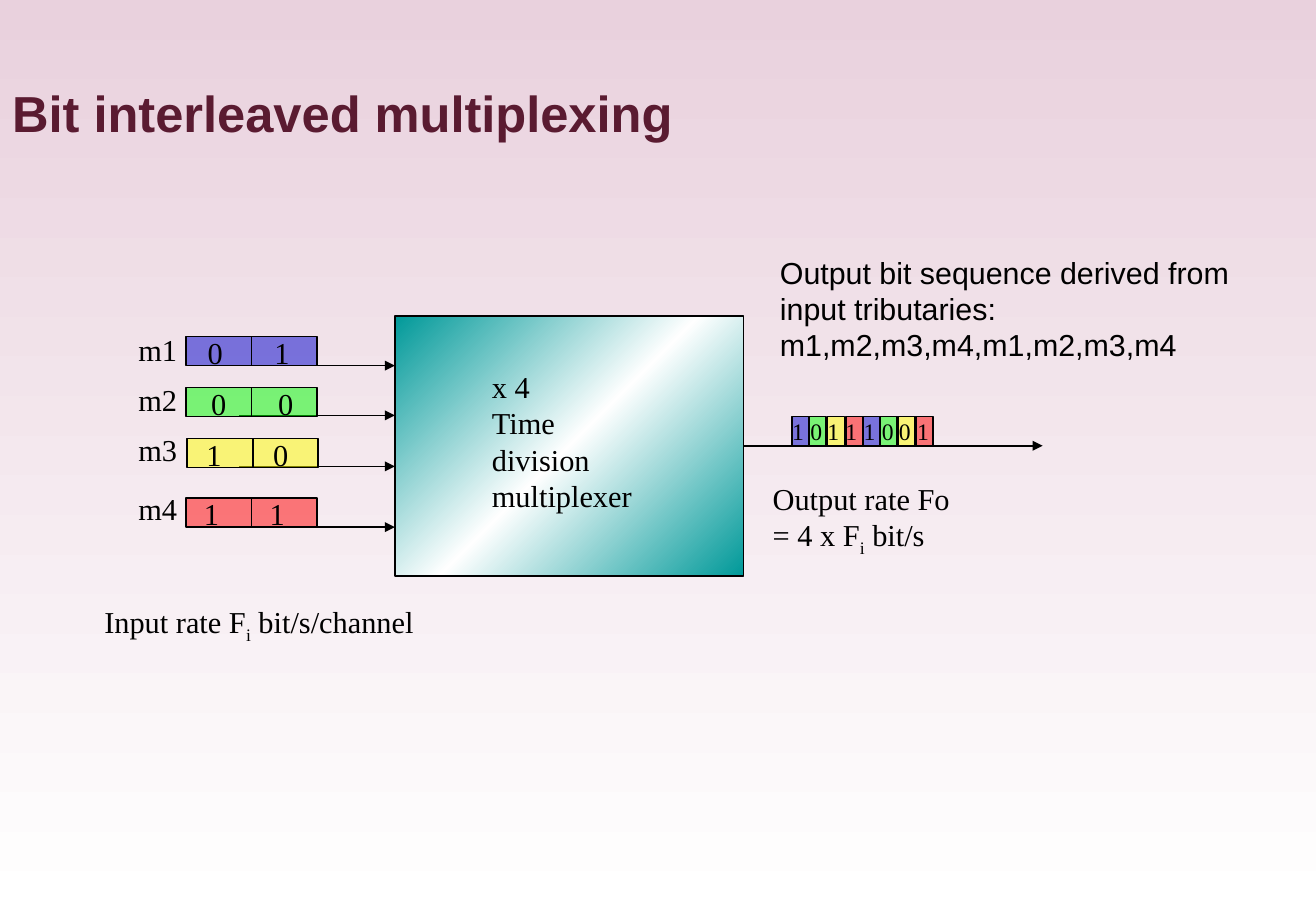
from lxml import etree
from pptx import Presentation
from pptx.dml.color import RGBColor
from pptx.enum.shapes import MSO_CONNECTOR, MSO_SHAPE
from pptx.enum.text import MSO_ANCHOR, MSO_AUTO_SIZE, PP_ALIGN
from pptx.oxml.ns import qn
from pptx.util import Pt

LINE = MSO_CONNECTOR.STRAIGHT
RECT = MSO_SHAPE.RECTANGLE
MIDDLE = MSO_ANCHOR.MIDDLE
GROW = MSO_AUTO_SIZE.SHAPE_TO_FIT_TEXT
LEFT = PP_ALIGN.LEFT

SCALE = 9144
SERIF = "Times New Roman"
SANS = "Arial"
BLACK = "000000"
TEAL = "009999"
WHITE = "FFFFFF"
COLORS = ["0000CC", "00FF00", "FFFF00", "FF0000"]

ROWS = [
    ("m1", 268, 153, 277, 301, [("0", 161), ("1", 216)]),
    ("m2", 309, 153, 319, 342, [("0", 164), ("0", 219)]),
    ("m3", 350, 154, 361, 384, [("1", 160), ("0", 215)]),
    ("m4", 399, 153, 410, 434, [("1", 158), ("1", 212)]),
]
OUTPUT = "10111001"


def px(*sizes):
    return [round(size * SCALE) for size in sizes]


def rgb(code):
    return RGBColor.from_string(code)


def style(item, values):
    for name, value in values.items():
        setattr(item, name, value)


def ink(font, face, size, color, bold=False):
    style(font, {"name": face, "size": Pt(size), "bold": bold})
    font.color.rgb = rgb(color)


def shade(fill, owner, stops, angle):
    fill.gradient()
    fill.gradient_angle = 360 - angle
    ramp = owner.element.find(".//" + qn("a:gsLst"))
    ramp.clear()
    for place, color in stops:
        stop = etree.SubElement(ramp, qn("a:gs"), pos=str(place * 1000))
        etree.SubElement(stop, qn("a:srgbClr"), val=color)


def edge(line):
    line.color.rgb = rgb(BLACK)
    line.width = Pt(1)


def box(slide, *area):
    shape = slide.shapes.add_shape(RECT, *px(*area))
    shape.shadow.inherit = False
    edge(shape.line)
    return shape


def cell(slide, color, *area):
    shape = box(slide, *area)
    shape.fill.solid()
    shape.fill.fore_color.rgb = rgb(color)
    tint = shape.element.spPr.find(qn("a:solidFill")).find(qn("a:srgbClr"))
    etree.SubElement(tint, qn("a:alpha"), val="50000")
    return shape


def wire(slide, *ends, arrow=False):
    link = slide.shapes.add_connector(LINE, *px(*ends))
    edge(link.line)
    props = link.element.spPr
    etree.SubElement(props, qn("a:effectLst"))
    if arrow:
        etree.SubElement(props.find(qn("a:ln")), qn("a:tailEnd"), type="triangle")
    return link


def label(slide, lines, *area, face=SERIF, size=18, wrap=False):
    frame = slide.shapes.add_textbox(*px(*area)).text_frame
    style(frame, {"word_wrap": wrap, "auto_size": GROW})
    for row, line in enumerate(lines):
        para = frame.add_paragraph() if row else frame.paragraphs[0]
        for turn, text in enumerate(line.split("_")):
            run = para.add_run()
            run.text = text
            ink(run.font, face, size, BLACK)
            if turn % 2:
                run._r.get_or_add_rPr().set("baseline", "-25000")


def head(slide):
    title = slide.shapes.title
    left, top, width, height = px(0, 30, 1083, 125)
    style(title, {"left": left, "top": top, "width": width, "height": height})
    title.text = "Bit interleaved multiplexing"
    title.text_frame.vertical_anchor = MIDDLE
    para = title.text_frame.paragraphs[0]
    para.alignment = LEFT
    ink(para.runs[0].font, SANS, 30, "5A1B31", True)


def muxer(slide):
    mux = box(slide, 325, 260, 287, 214)
    shade(mux.fill, mux, [(0, TEAL), (50, WHITE), (100, TEAL)], 45)
    for row in ROWS:
        wire(slide, 197, row[4], 325, row[4], arrow=True)
    label(slide, ["x 4", "Time", "division", "multiplexer"], 395, 298, 136, 131)
    wire(slide, 612, 367, 858, 367, arrow=True).begin_connect(mux, 3)


def inputs(slide):
    for color, (name, level, left, top, _, bits) in zip(COLORS, ROWS):
        frame = cell(slide, color, left, top, 108, 24)
        split = wire(slide, left + 54, top, left + 54, top + 24)
        split.begin_connect(frame, 0)
        split.end_connect(frame, 2)
        for bit, start in bits:
            label(slide, [bit], start, top - 7, 33, 40)
        label(slide, [name], 104, level, 52, 40)


def output(slide):
    for spot in range(len(OUTPUT)):
        cell(slide, COLORS[spot % 4], 652 + round(14.5 * spot), 343, 14, 24)
    for spot, bit in enumerate(OUTPUT):
        label(slide, [bit], 642 + round(14.7 * spot), 338, 30, 33, size=14)


def notes(slide):
    label(slide, ["Input rate F_i_ bit/s/channel"], 76, 492, 278, 40)
    label(slide, ["Output rate Fo", "= 4 x F_i_ bit/s"], 626, 390, 239, 70, wrap=True)
    label(
        slide,
        ["Output bit sequence derived from input tributaries: m1,m2,m3,m4,m1,m2,m3,m4"],
        632, 204, 411, 100, face=SANS, wrap=True,
    )


def main():
    deck = Presentation()
    deck.slide_width, deck.slide_height = px(1083, 750)
    slide = deck.slides.add_slide(deck.slide_layouts[5])
    shade(slide.background.fill, slide, [(0, "E9D1DD"), (100, WHITE)], 90)
    head(slide)
    muxer(slide)
    inputs(slide)
    output(slide)
    notes(slide)
    deck.save("out.pptx")


if __name__ == "__main__":
    main()
